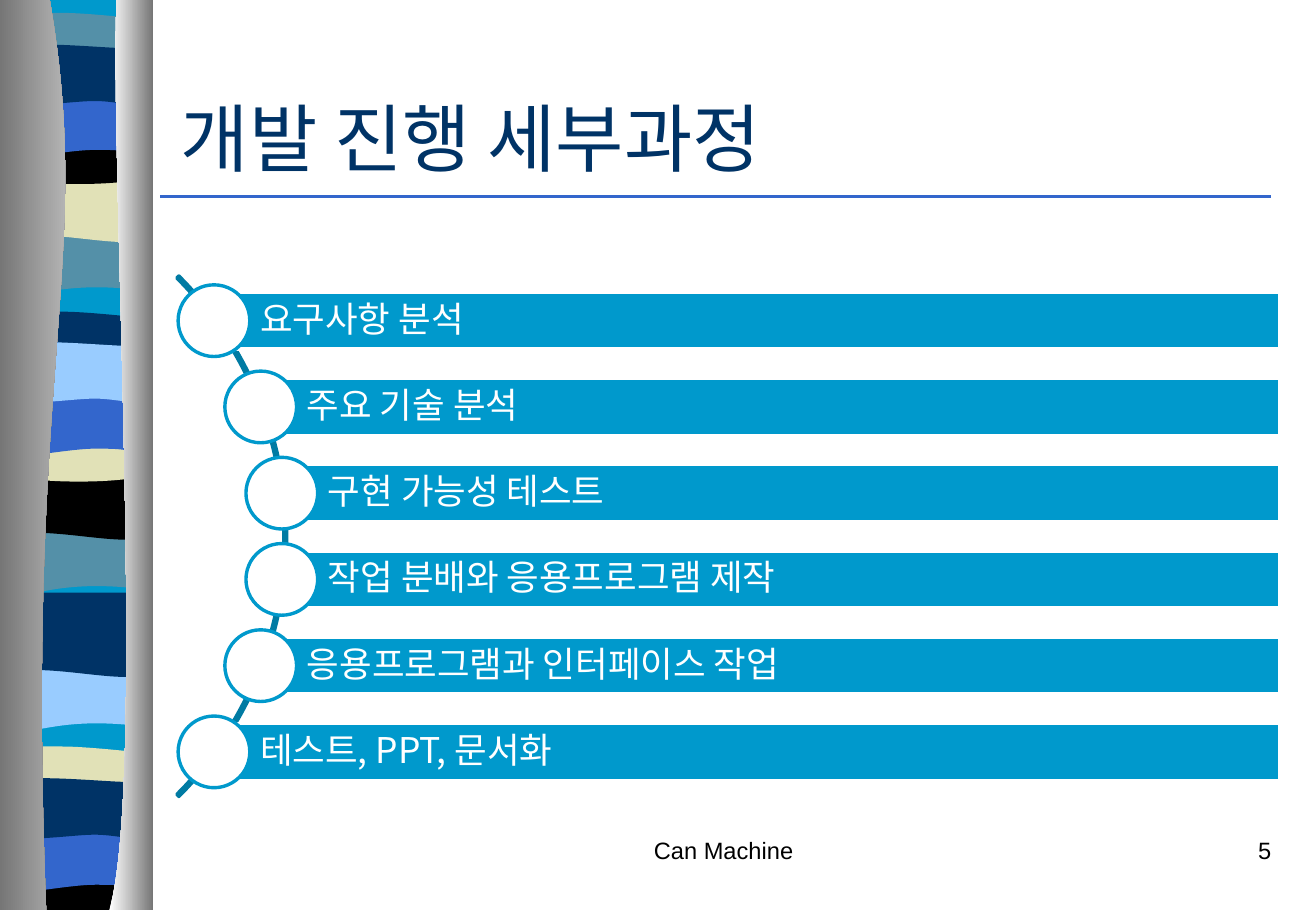
import pptx
import pptx.util
import pptx.dml.color
import pptx.enum.shapes
import pptx.enum.text
import pptx.oxml
import pptx.oxml.ns
import lxml.etree
import math

# Content
TITLE = "개발 진행 세부과정"
STEPS = ["요구사항 분석", "주요 기술 분석", "구현 가능성 테스트",
         "작업 분배와 응용프로그램 제작", "응용프로그램과 인터페이스 작업",
         "테스트, PPT, 문서화"]
FOOTER, NUMBER = "Can Machine", "5"

# Theme: colours, fonts and type sizes
THEME = {
    "navy": "003366", "blue": "3366CC", "cyan": "0099CC", "teal": "5490A8",
    "sand": "E1E1B7", "sky": "99CCFF", "black": "000000", "white": "FFFFFF",
    "arc": "007BA3", "dark": "767676", "pale": "D0D0D0",
    "korean": "Noto Sans CJK KR", "latin": "Arial",
    "title": 44, "step": 21, "foot": 14,
}

# Stripe outlines: a pair is a line's end, six numbers are a Bezier curve
WAVES = {
    "base": [(1.17, 0), (1.17, 7.47), (0, 7.47), (0, 0)],
    "foot": [(1.17, 0), (1.17, 0.37), (0, 0.37), (0, 0)],
    "tilt": [(1.17, 0), (1.17, 0.47), (0.36, 0.39, 0.19, 0.55, 0, 0.47),
             (0, 0)],
    "sway": [(1.17, 0), (1.17, 0.47), (0.98, 0.55, 0.36, 0.41, 0, 0.47),
             (0, 0)],
    "crest": [(1.17, 0.05), (1.17, 0.29), (0.98, 0.34, 0.19, 0.34, 0, 0.29),
              (0, 0.05), (0.07, 0, 0.26, 0.01, 0.45, 0.01),
              (0.65, 0.01, 1.02, 0.04, 1.17, 0.05)],
    "dip": [(1.17, 0), (1.17, 0.32), (0.98, 0.38, 0.2, 0.38, 0, 0.32),
            (0, 0), (0.72, 0.05, 0.93, 0, 1.17, 0)],
    "arch": [(1.17, 0), (1.17, 0.47), (0.99, 0.42, 0.92, 0.42, 0.72, 0.42),
             (0.53, 0.42, 0.18, 0.47, 0, 0.47), (0, 0)],
    "roll": [(1.17, 0.05), (1.17, 0.36), (1.1, 0.41, 0.92, 0.36, 0.72, 0.36),
             (0.53, 0.36, 0.12, 0.41, 0, 0.36), (0, 0.05),
             (0.16, 0, 0.8, 0.05, 0.99, 0.05)],
}
# Stripes from back to front: outline, top, colour
BANDS = [
    ("base", 0, "cyan"),
    ("tilt", 1.85, "teal"), ("sway", 1.41, "sand"), ("crest", 0.16, "teal"),
    ("dip", 1.08, "black"), ("arch", 0.74, "blue"), ("roll", 0.41, "navy"),
    ("tilt", 4.31, "teal"), ("sway", 3.86, "black"), ("crest", 2.62, "navy"),
    ("dip", 3.53, "sand"), ("arch", 3.2, "blue"), ("roll", 2.86, "sky"),
    ("tilt", 5.44, "sky"), ("sway", 4.99, "navy"), ("crest", 6.2, "sand"),
    ("foot", 7.12, "black"), ("arch", 6.79, "blue"), ("roll", 6.45, "navy"),
]
FLAT, SWELL = ("base", "foot"), 1.4      # wavy stripes swell to overlap
# Grey columns: outline, left colour, right colour
COLUMNS = [
    ([(0.41, 0), (0.78, 2.16, 0.2, 2.96, 0.38, 7.49), (0, 7.49), (0, 0)],
     "dark", "pale"),
    ([(0.96, 0), (0.9, 1.25, 1.21, 6.46, 0.9, 7.49), (1.26, 7.49), (1.26, 0)],
     "white", "dark"),
]

# Grid
WIDTH, HEIGHT = 10.83, 7.5
EDGE = 0.06                      # left of the stripes
HUB, ROUND, RING = (-0.67, 4.415), 3.03, 3.01
PITCH, BAR, DOT, RIGHT = 0.71, 0.47, 0.59, 10.53

inch, pt, qn = pptx.util.Inches, pptx.util.Pt, pptx.oxml.ns.qn
KIND = pptx.enum.shapes.MSO_SHAPE
ALIGN = pptx.enum.text.PP_ALIGN
ANCHOR = pptx.enum.text.MSO_ANCHOR

deck = pptx.Presentation()
deck.slide_width, deck.slide_height = inch(WIDTH), inch(HEIGHT)
slide = deck.slides.add_slide(deck.slide_layouts[6])
shapes = slide.shapes


def tint(name):
    return pptx.dml.color.RGBColor.from_string(THEME[name])


def apply(item, values):
    for name, value in values.items():
        setattr(item, name, value)


def paint(shape, fill=None, line=None, width=2):
    shape.shadow.inherit = False
    if fill:
        shape.fill.solid()
        shape.fill.fore_color.rgb = tint(fill)
    else:
        shape.fill.background()
    if line:
        shape.line.color.rgb = tint(line)
        shape.line.width = pt(width)
    else:
        shape.line.fill.background()


def trace(nodes, top=0, left=0, swell=1):
    """Draw a closed outline; each six-number node becomes a curve."""
    dots = [node[k:k + 2] for node in nodes for k in range(0, len(node), 2)]
    tall = [y for _, y in dots]
    mid = (min(tall) + max(tall)) / 2
    dots = [(inch(left + x), inch(top + mid + swell * (y - mid)))
            for x, y in dots]
    pen = shapes.build_freeform(*dots[0], scale=1.0)
    pen.add_line_segments(dots[1:], close=True)
    shape = pen.convert_to_shape()
    lines = iter(list(shape._element.iter(qn("a:lnTo"))))
    for node in nodes[1:]:
        line = next(lines)
        if len(node) == 6:
            line.tag = qn("a:cubicBezTo")
            for _ in range(2):
                extra = next(lines)
                line.append(extra[0])
                extra.getparent().remove(extra)
    return shape


def write(shape, text, size, colour, font, frame=None, para=None):
    body = shape.text_frame
    apply(body, {"word_wrap": True, **(frame or {})})
    line = body.paragraphs[0]
    apply(line, {"alignment": ALIGN.LEFT, **(para or {})})
    run = line.add_run()
    run.text = text
    apply(run.font, {"size": pt(THEME[size]), "name": THEME[font]})
    run.font.color.rgb = tint(colour)
    east = lxml.etree.SubElement(run.font._element, qn("a:ea"))
    east.set("typeface", THEME["korean"])


def label(box, *args, **more):
    write(shapes.add_textbox(*map(inch, box)), *args, **more)


# Striped border
for wave, top, colour in BANDS:
    swell = 1 if wave in FLAT else SWELL
    paint(trace(WAVES[wave], top, EDGE, swell), colour)

for nodes, start, end in COLUMNS:
    column = trace(nodes)
    paint(column)
    column.fill.gradient()
    column.fill.gradient_angle = 0
    for stop, colour in zip(column.fill.gradient_stops, (start, end)):
        stop.color.rgb = tint(colour)

# Title, footer and rule
label((1.39, 0.5, 9.21, 1.25), TITLE, "title", "navy", "latin",
      frame={"vertical_anchor": ANCHOR.MIDDLE})
label((4.24, 6.83, 3.43, 0.5), FOOTER, "foot", "black", "latin",
      para={"alignment": ALIGN.CENTER})
label((8.3, 6.83, 2.26, 0.5), NUMBER, "foot", "black", "latin",
      para={"alignment": ALIGN.RIGHT})

rule = shapes.add_connector(pptx.enum.shapes.MSO_CONNECTOR.STRAIGHT,
                            inch(1.32), inch(1.62), inch(10.46), inch(1.62))
rule.line.color.rgb = tint("blue")
rule.line.width = pt(1.75)
lxml.etree.SubElement(rule._element.spPr, qn("a:effectLst"))

# Arc behind the steps
arc = shapes.add_shape(KIND.BLOCK_ARC, inch(HUB[0] - ROUND),
                       inch(HUB[1] - ROUND), inch(2 * ROUND), inch(2 * ROUND))
for spot, value in enumerate((189, 27, 0.004)):
    arc.adjustments[spot] = value
paint(arc, line="arc")

# Steps: each dot is centred on the ring, its bar starts at that centre
INSET = {"vertical_anchor": ANCHOR.MIDDLE, "margin_left": inch(0.38),
         "margin_right": inch(0.06), "margin_top": inch(0.06),
         "margin_bottom": inch(0.06)}
for row, step in enumerate(STEPS):
    drop = (row - (len(STEPS) - 1) / 2) * PITCH
    x, y = HUB[0] + math.sqrt(RING ** 2 - drop ** 2), HUB[1] + drop
    bar = shapes.add_shape(KIND.RECTANGLE, inch(x), inch(y - BAR / 2),
                           inch(RIGHT - x), inch(BAR))
    paint(bar, "cyan", "white")
    font = "korean" if "," in step else "latin"
    write(bar, step, "step", "white", font, INSET, {"line_spacing": 0.9})
    dot = shapes.add_shape(KIND.OVAL, inch(x - DOT / 2), inch(y - DOT / 2),
                           inch(DOT), inch(DOT))
    paint(dot, "white", "cyan")

deck.save("out.pptx")
